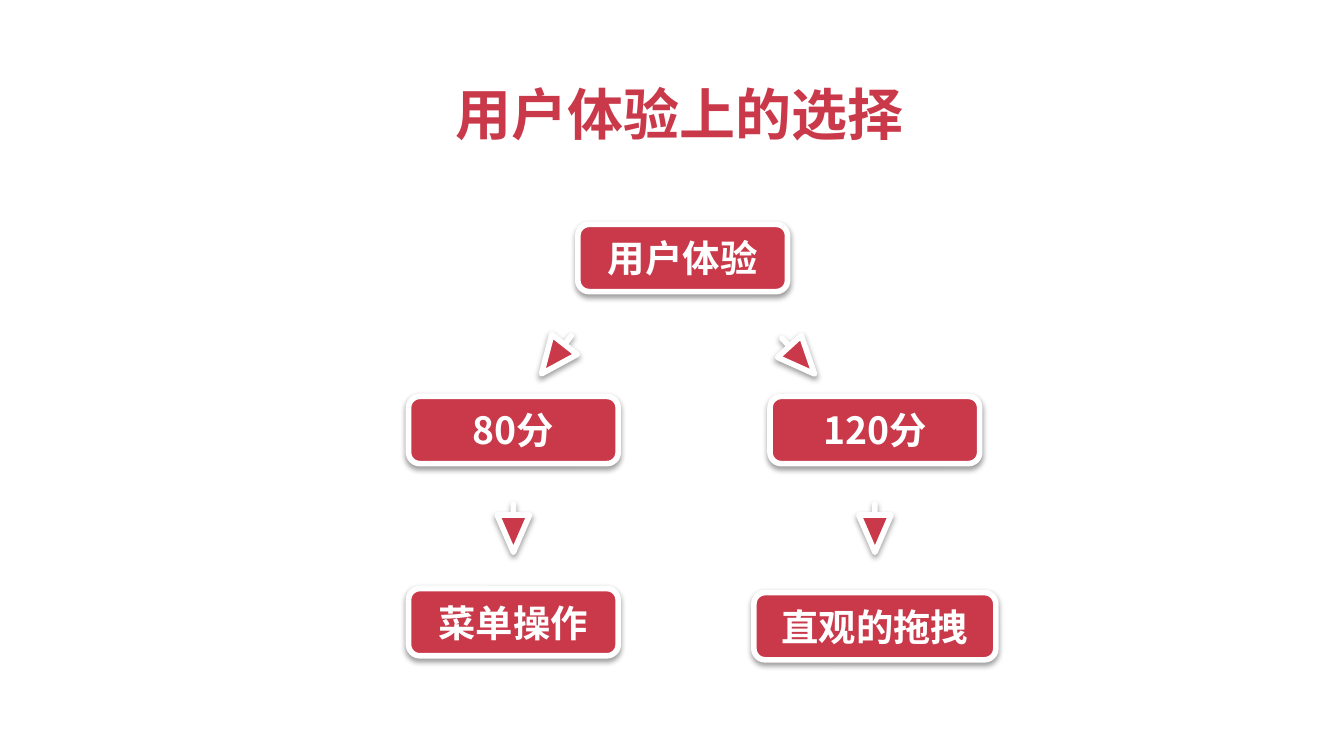
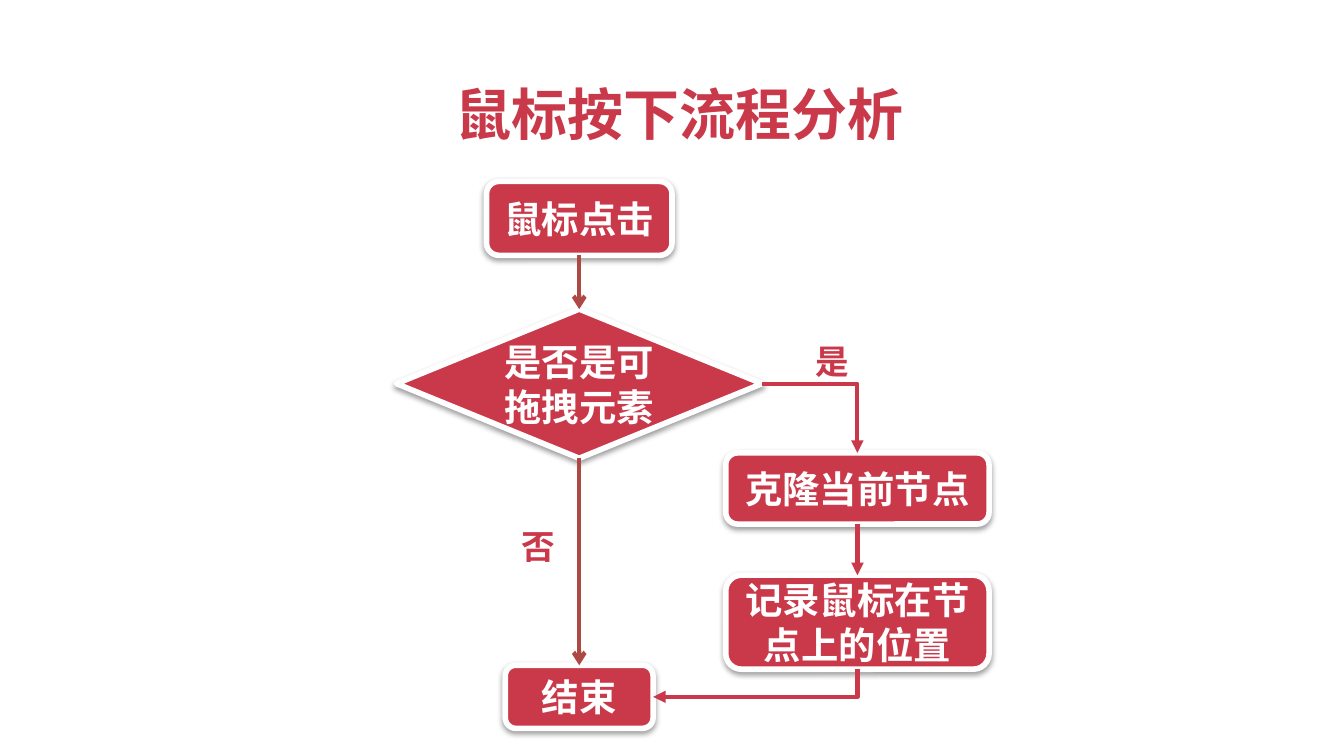
from dataclasses import dataclass

from lxml import etree
from pptx import Presentation
from pptx import util as u
from pptx.dml.color import RGBColor
from pptx.enum import shapes, text
from pptx.oxml.ns import qn

PX = 9144  # EMU per px, 100 px to the inch


@dataclass(frozen=True)
class Theme:
    font: str = "Noto Sans CJK SC"
    red: str = "C9394A"
    brick: str = "AE4845"
    white: str = "FFFFFF"
    black: str = "000000"
    title: int = 30
    node: int = 20
    label: int = 18
    outline: float = 3
    link: float = 2.25


T = Theme()
TOP, LEFT, BOTTOM, RIGHT = range(4)  # connection sites


def write(tf, words, size, color, align=text.PP_ALIGN.CENTER, wrap=True):
    """Put one bold paragraph into a text frame."""
    tf.auto_size = text.MSO_AUTO_SIZE.NONE
    tf.word_wrap = wrap
    tf.vertical_anchor = text.MSO_ANCHOR.MIDDLE
    p = tf.paragraphs[0]
    p.alignment = align
    r = p.add_run()
    r.text = words
    f = r.font
    f.size, f.bold = u.Pt(size), True
    f.color.rgb = RGBColor.from_string(color)
    f.name = T.font
    etree.SubElement(r._r.get_or_add_rPr(), qn("a:ea"), typeface=T.font)


class Deck:
    def __init__(self, width):
        """Start a 16:9 deck of the given width."""
        self.prs = Presentation()
        self.prs.slide_width = width * PX
        self.prs.slide_height = width * PX * 9 // 16
        self.s = None

    def slide(self, title):
        self.s = self.prs.slides.add_slide(self.prs.slide_layouts[5])
        sp = self.s.shapes.title
        sp.left, sp.top, sp.width, sp.height = (v * PX for v in (327, 54, 357, 61))
        write(sp.text_frame, title, T.title, T.red, wrap=False)

    def shape(self, kind, cx, y, w, h):
        """Red shape with white outline and soft shadow, centred on cx."""
        sp = self.s.shapes.add_shape(kind, (cx - w // 2) * PX, y * PX, w * PX, h * PX)
        sp.fill.solid()
        sp.fill.fore_color.rgb = RGBColor.from_string(T.red)
        sp.line.color.rgb = RGBColor.from_string(T.white)
        sp.line.width = u.Pt(T.outline)
        sp.shadow.inherit = False
        effects = sp._element.spPr.find(qn("a:effectLst"))
        shadow = etree.SubElement(
            effects, qn("a:outerShdw"), blurRad=str(u.Pt(3.1)), dist=str(u.Pt(1.6)),
            dir="5400000", rotWithShape="0")
        color = etree.SubElement(shadow, qn("a:srgbClr"), val=T.black)
        etree.SubElement(color, qn("a:alpha"), val="38000")
        return sp

    def node(self, words, cx, y, w, h, kind=shapes.MSO_SHAPE.ROUNDED_RECTANGLE):
        sp = self.shape(kind, cx, y, w, h)
        write(sp.text_frame, words, T.node, T.white)
        return sp

    def arrow(self, cx, y, angle=0):
        sp = self.shape(shapes.MSO_SHAPE.DOWN_ARROW, cx, y, 24, 36)
        sp.adjustments[0], sp.adjustments[1] = 0, 1.153
        sp.rotation = angle

    def link(self, a, a_site, b, b_site, color=T.red, head="triangle", bent=False):
        """Glue a connector between two nodes; a bent one has a single corner."""
        kind = shapes.MSO_CONNECTOR.ELBOW if bent else shapes.MSO_CONNECTOR.STRAIGHT
        c = self.s.shapes.add_connector(kind, 0, 0, 0, 0)
        c.begin_connect(a, a_site)
        c.end_connect(b, b_site)
        spPr = c._element.spPr
        if bent:
            spPr.find(qn("a:prstGeom")).set("prst", "bentConnector2")
        if bent and a_site == BOTTOM:  # quarter turn: down first, then left
            w, h = c.width, c.height
            c.left, c.top = c.left + (w - h) // 2, c.top + (h - w) // 2
            c.width, c.height = h, w
            xfrm = spPr.find(qn("a:xfrm"))
            xfrm.attrib.pop("flipH", None)
            xfrm.set("rot", "5400000")
        c.line.color.rgb = RGBColor.from_string(color)
        c.line.width = u.Pt(T.link)
        etree.SubElement(c.line._get_or_add_ln(), qn("a:tailEnd"), type=head)
        etree.SubElement(spPr, qn("a:effectLst"))

    def label(self, words, x, y):
        sp = self.s.shapes.add_textbox(x * PX, y * PX, 45 * PX, 40 * PX)
        write(sp.text_frame, words, T.label, T.red, text.PP_ALIGN.LEFT, wrap=False)


def choice_slide(d):
    d.slide("用户体验上的选择")
    d.node("用户体验", 508, 167, 156, 50)
    # Two branches: score, arrow, way of working
    for cx, score, way, way_y, way_w in (
            (382, "80分", "菜单操作", 438, 156),
            (651, "120分", "直观的拖拽", 441, 180)):
        d.node(score, cx, 295, 156, 50)
        d.arrow(cx, 375)
        d.node(way, cx, way_y, way_w, 50)
    # Arrows from the root to the branches
    d.arrow(414, 246, 38.1)
    d.arrow(594, 247, 317.7)


def mouse_down_slide(d):
    d.slide("鼠标按下流程分析")
    main_x, side_x = 431, 638
    # Main column
    click = d.node("鼠标点击", main_x, 135, 138, 55)
    check = d.node("是否是可拖拽元素", main_x, 230, 272, 111, shapes.MSO_SHAPE.DIAMOND)
    end = d.node("结束", main_x, 495, 110, 47)
    # Side column
    clone = d.node("克隆当前节点", side_x, 337, 196, 53)
    record = d.node("记录鼠标在节点上的位置", side_x, 428, 196, 70)
    # Links
    for a, b in ((click, check), (check, end)):
        d.link(a, BOTTOM, b, TOP, T.brick, "arrow")
    d.link(check, RIGHT, clone, TOP, bent=True)
    d.link(clone, BOTTOM, record, TOP)
    d.link(record, BOTTOM, end, RIGHT, bent=True)
    d.label("是", 597, 249)
    d.label("否", 378, 386)


def main():
    d = Deck(1000)
    choice_slide(d)
    mouse_down_slide(d)
    d.prs.save("out.pptx")


if __name__ == "__main__":
    main()
